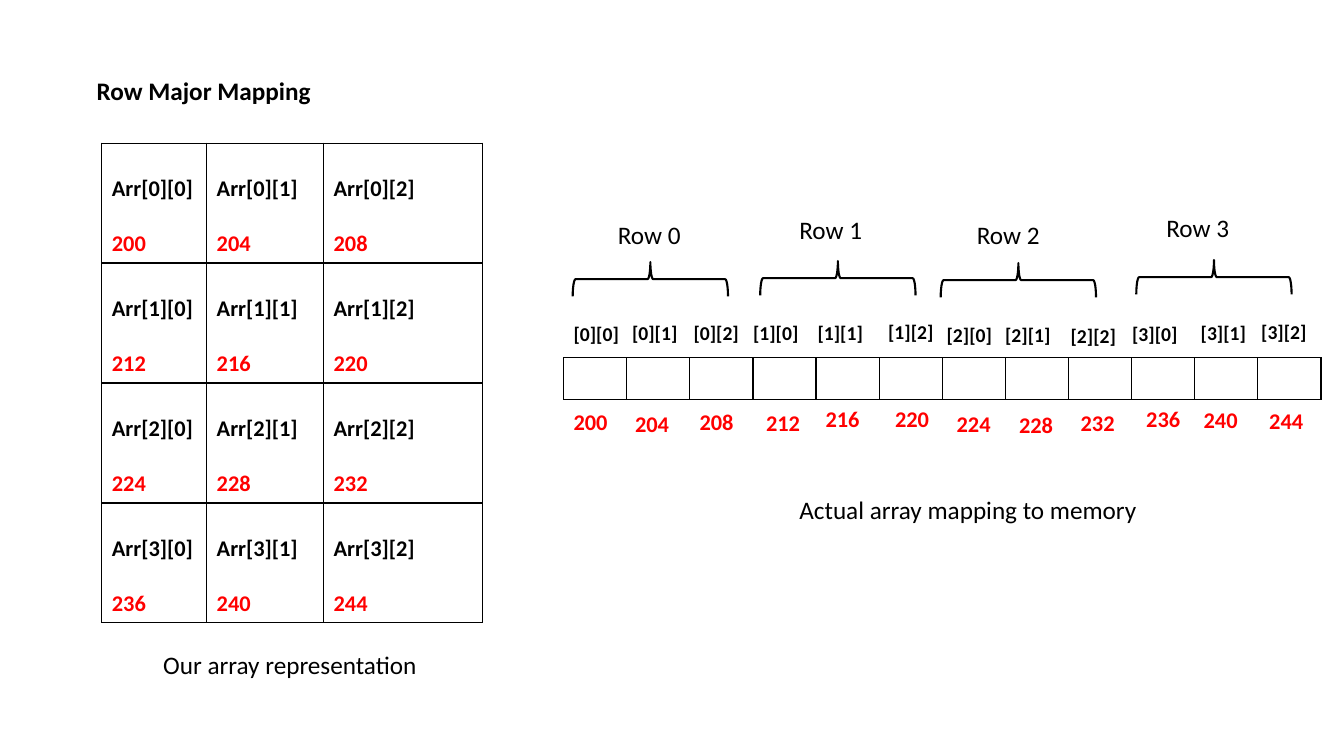
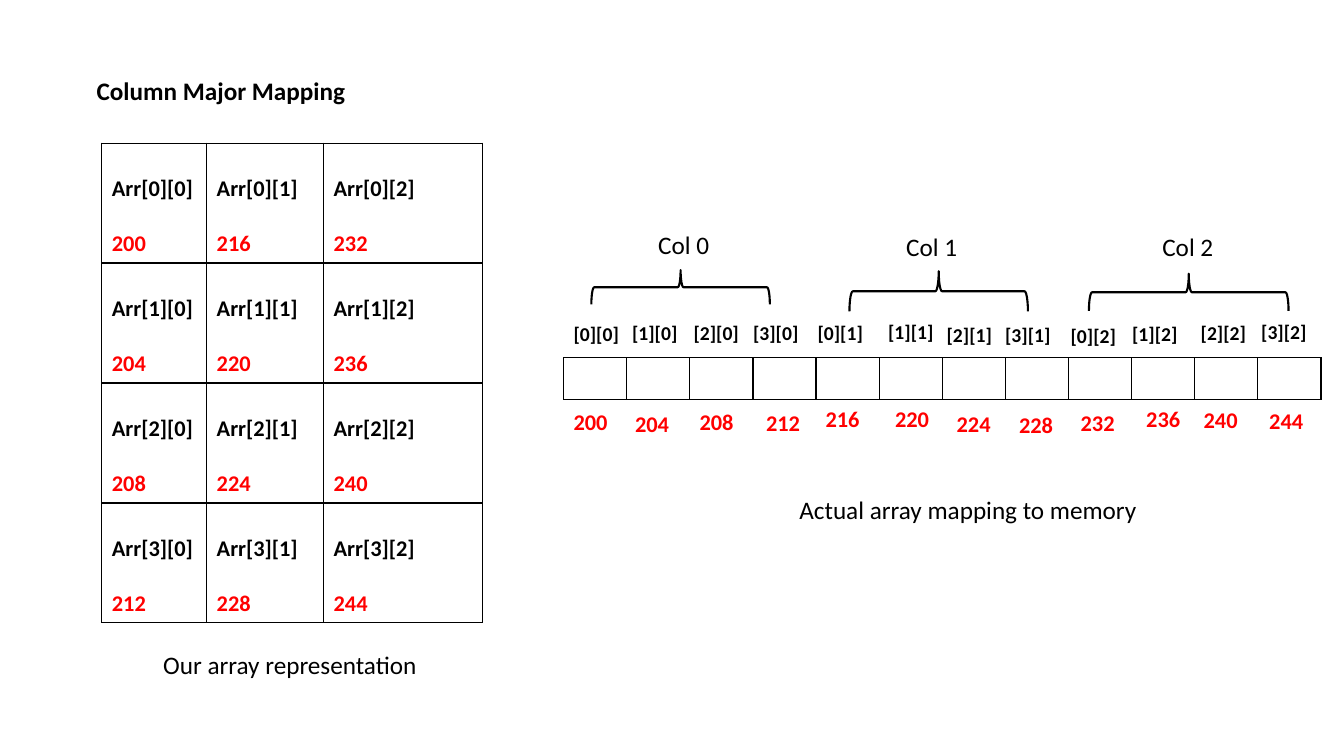
import pptx
import pptx.util
import pptx.dml.color
import pptx.enum.shapes
import pptx.enum.text
import pptx.oxml.ns
import lxml.etree

Inches = pptx.util.Inches
Pt = pptx.util.Pt
RGBColor = pptx.dml.color.RGBColor

BLACK = RGBColor(0x00, 0x00, 0x00)
RED = RGBColor(0xFF, 0x00, 0x00)
WHITE = RGBColor(0xFF, 0xFF, 0xFF)
FONT = "Calibri"

ROWS, COLS = 4, 3
BASE_ADDRESS, ITEM_BYTES = 200, 4

# Hand-placed labels: (x, y) from the top left corner of the memory strip
INDEX_SPOTS = [
    (0, -0.41), (0.58, -0.42), (1.19, -0.42), (1.78, -0.42),
    (2.42, -0.42), (3.12, -0.43), (3.7, -0.4), (4.28, -0.4),
    (4.93, -0.39), (5.54, -0.41), (6.22, -0.42), (6.82, -0.43),
]
ADDRESS_SPOTS = [
    (0, 0.45), (0.61, 0.47), (1.25, 0.45), (1.91, 0.46),
    (2.5, 0.42), (3.19, 0.42), (3.8, 0.47), (4.42, 0.48),
    (5.03, 0.46), (5.68, 0.42), (6.25, 0.43), (6.9, 0.44),
]

# Groups: label, label spot, brace centre, brace span, brace depth
ROW_GROUPS = [
    ("Row 0", (0.44, -1.42), (0.86, -0.78), 1.54, 0.34),
    ("Row 1", (2.24, -1.47), (2.72, -0.79), 1.54, 0.34),
    ("Row 2", (4, -1.42), (4.51, -0.77), 1.54, 0.34),
    ("Row 3", (5.88, -1.49), (6.45, -0.8), 1.54, 0.34),
]
COL_GROUPS = [
    ("Col 0", (0.84, -1.32), (1.16, -0.7), 1.77, 0.34),
    ("Col 1", (3.3, -1.3), (3.72, -0.66), 1.77, 0.4),
    ("Col 2", (5.84, -1.3), (6.2, -0.65), 1.98, 0.37),
]


def style(paragraph, size, color=BLACK, bold=False):
    for run in paragraph.runs:
        run.font.name = FONT
        run.font.size = Pt(size)
        run.font.bold = bold
        run.font.color.rgb = color


def add_label(slide, text, left, top, width, height, size=18,
              color=BLACK, bold=False, wrap=False):
    label = slide.shapes.add_textbox(
        Inches(left), Inches(top), Inches(width), Inches(height))
    frame = label.text_frame
    frame.word_wrap = wrap
    frame.auto_size = pptx.enum.text.MSO_AUTO_SIZE.SHAPE_TO_FIT_TEXT
    frame.text = text
    style(frame.paragraphs[0], size, color, bold)


def border_cell(cell):
    """Clear the fill and draw a thin black line on all four sides."""
    cell.fill.background()
    properties = cell._tc.get_or_add_tcPr()
    qn = pptx.oxml.ns.qn
    for position, side in enumerate(("a:lnL", "a:lnR", "a:lnT", "a:lnB")):
        line = lxml.etree.Element(qn(side), w=str(Pt(1)))
        fill = lxml.etree.SubElement(line, qn("a:solidFill"))
        lxml.etree.SubElement(fill, qn("a:srgbClr"), val=str(BLACK))
        properties.insert(position, line)


def add_grid(slide, left, top, widths, row_height, row_count):
    grid = slide.shapes.add_table(
        row_count, len(widths), Inches(left), Inches(top),
        Inches(sum(widths)), Inches(row_height * row_count)).table
    grid.first_row = grid.horz_banding = False
    for column, width in zip(grid.columns, widths):
        column.width = Inches(width)
    for row in grid.rows:
        row.height = Inches(row_height)
    for cell in grid.iter_cells():
        border_cell(cell)
    return grid


def add_array(slide, left, top, address_of):
    """Two-dimensional array with the address of each element."""
    array = add_grid(slide, left, top, (1.04, 1.16, 1.58), 1.19, ROWS)
    for r in range(ROWS):
        for c in range(COLS):
            cell = array.cell(r, c)
            cell.margin_top = Inches(0.32)
            cell.text_frame.text = f"Arr[{r}][{c}]"
            element = cell.text_frame.paragraphs[0]
            address = cell.text_frame.add_paragraph()
            address.text = str(address_of[r, c])
            address.space_before = Pt(19.5)
            style(element, 16, BLACK, True)
            style(address, 16, RED, True)
    add_label(slide, "Our array representation",
              left + 0.51, top + 4.97, 2.74, 0.4)


def add_brace(slide, center_x, center_y, span, depth):
    # Turned a quarter, so that its point faces up
    brace = slide.shapes.add_shape(
        pptx.enum.shapes.MSO_SHAPE.LEFT_BRACE,
        Inches(center_x - depth / 2), Inches(center_y - span / 2),
        Inches(depth), Inches(span))
    brace.rotation = 90
    brace.shadow.inherit = False
    brace.fill.solid()
    brace.fill.fore_color.rgb = WHITE
    brace.line.color.rgb = BLACK
    brace.line.width = Pt(1.5)


def add_memory(slide, left, top, order, address_of, groups):
    """Linear memory strip with indexes, addresses and grouping braces."""
    add_grid(slide, left, top, [0.626] * len(order), 0.41, 1)
    add_label(slide, "Actual array mapping to memory",
              left + 2.24, top + 1.31, 3.58, 0.4)
    for (r, c), (x, y) in zip(order, INDEX_SPOTS):
        add_label(slide, f"[{r}][{c}]", left + x, top + y, 0.79, 0.34,
                  14, BLACK, True, True)
    for index, (x, y) in zip(order, ADDRESS_SPOTS):
        add_label(slide, str(address_of[index]), left + x, top + y,
                  0.73, 0.37, 16, RED, True, True)
    for name, (x, y), (center_x, center_y), span, depth in groups:
        add_brace(slide, left + center_x, top + center_y, span, depth)
        add_label(slide, name, left + x, top + y, 0.83, 0.4)


def add_mapping_slide(deck, title, order, groups):
    slide = deck.slides.add_slide(deck.slide_layouts[6])
    address_of = {index: BASE_ADDRESS + ITEM_BYTES * place
                  for place, index in enumerate(order)}
    add_array(slide, 1.01, 1.42, address_of)
    add_label(slide, title, 0.86, 0.7, 2.71, 0.4, bold=True, wrap=True)
    add_memory(slide, 5.59, 3.55, order, address_of, groups)


def main():
    deck = pptx.Presentation()
    deck.slide_width = Inches(13.33)
    deck.slide_height = Inches(7.5)
    row_major = [(r, c) for r in range(ROWS) for c in range(COLS)]
    column_major = [(r, c) for c in range(COLS) for r in range(ROWS)]
    add_mapping_slide(deck, "Row Major Mapping", row_major, ROW_GROUPS)
    add_mapping_slide(deck, "Column Major Mapping", column_major, COL_GROUPS)
    deck.save("out.pptx")


if __name__ == "__main__":
    main()
